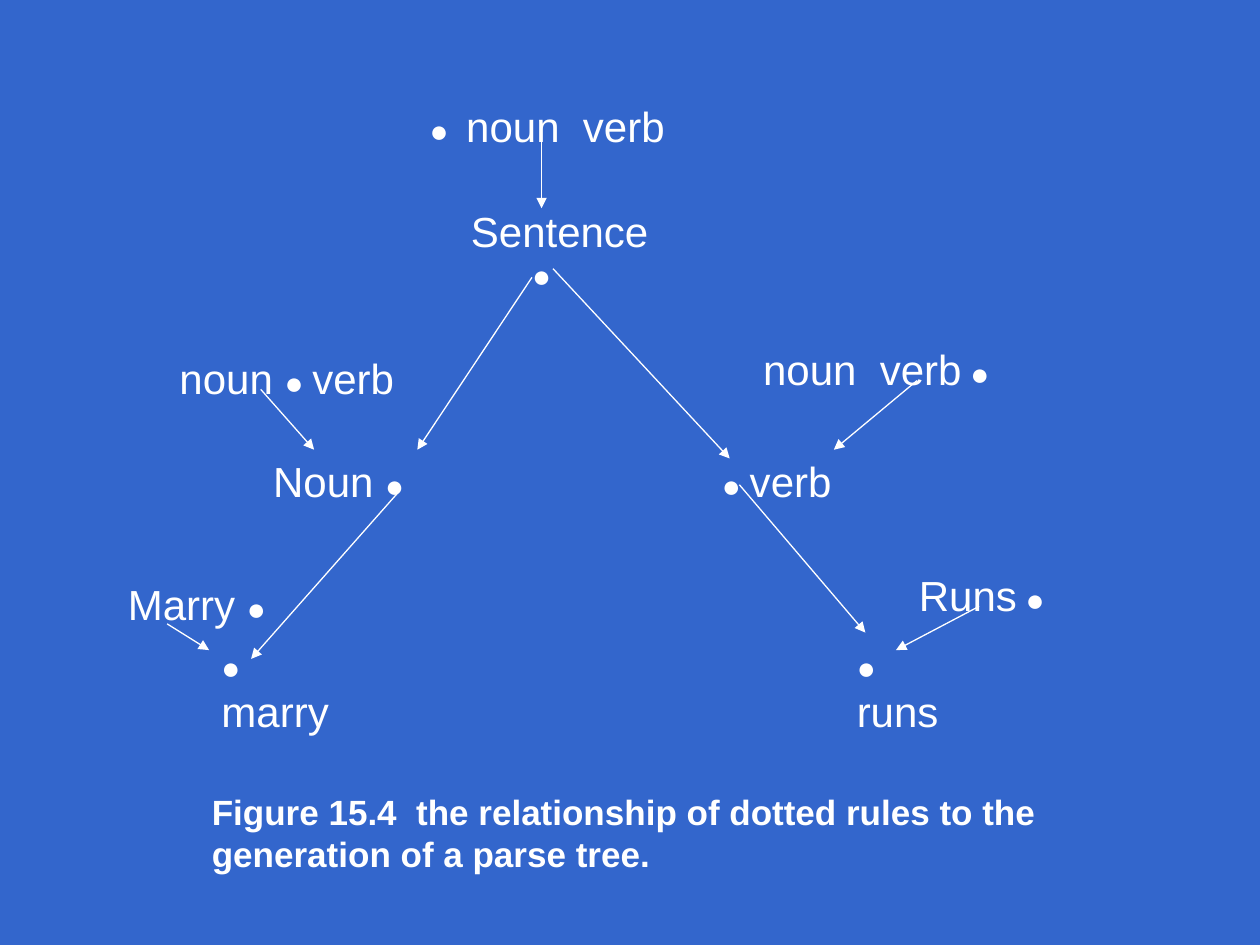
from lxml.etree import SubElement
from pptx import Presentation
from pptx.dml.color import RGBColor
from pptx.enum.shapes import MSO_CONNECTOR
from pptx.oxml.ns import qn
from pptx.util import Pt

BACKGROUND, INK = "3366CC", "FFFFFF"
DOT = "●"
DOT_SIZE, WORD_SIZE, CAPTION_SIZE = 18, 24, 20
DOT_INDENT = 35  # sets the dot under the middle of "Sentence"

# (left, top, width, height), lines; each line is a list of runs
RULES_AND_NODES = [
    ((238.5, 54, 161, 36), [["●  ", "noun  verb"]]),
    ((429, 193, 151, 36), [["noun  verb", " ●"]]),
    ((95.5, 198, 149, 36), [["noun ", "● ", "verb"]]),
    ((405.5, 257, 89, 36), [["● ", "verb"]]),
    ((149, 257, 97, 36), [["Noun ", "●"]]),
    ((518, 322, 94, 36), [["Runs", " ●"]]),
    ((66, 327, 101, 36), [["Marry ", "●"]]),
    ((482.5, 366.5, 160, 58), [["●"], ["runs"]]),
    ((119.5, 366.5, 81, 58), [["●"], ["marry"]]),
]
SENTENCE = ((262, 114, 120, 58), [["Sentence"], ["●"]])
CAPTION = (
    (114, 448, 490, 55),
    [["Figure 15.4  the relationship of dotted rules to the"],
     ["generation of a parse tree."]],
)

# (start x, start y), (end x, end y)
TREE_BRANCHES = [
    ((304, 158.5), (238.5, 257)),
    ((316, 153.5), (417, 262)),
    ((227, 282), (143.5, 376.5)),
    ((422.5, 277), (494.5, 361.5)),
]
RULE_POINTERS = [
    ((309.5, 78.5), (309.5, 119)),
    ((559.5, 346.5), (512, 371.5)),
    ((95.5, 356.5), (119.5, 371.5)),
    ((149, 222.5), (179.5, 257)),
    ((524, 217.5), (476.5, 257)),
]


def color(hex_code):
    return RGBColor.from_string(hex_code)


def add_label(slide, box, lines, word_size=WORD_SIZE, bold=False):
    """Add a text box whose dots are smaller than its words."""
    frame = slide.shapes.add_textbox(*map(Pt, box)).text_frame
    frame.word_wrap = True
    for number, pieces in enumerate(lines):
        paragraph = frame.add_paragraph() if number else frame.paragraphs[0]
        for piece in pieces:
            run = paragraph.add_run()
            run.text = piece
            run.font.name = "Arial"
            run.font.size = Pt(DOT_SIZE if DOT in piece else word_size)
            run.font.bold = bold
            run.font.color.rgb = color(INK)
    return frame


def add_arrow(slide, start, end):
    arrow = slide.shapes.add_connector(
        MSO_CONNECTOR.STRAIGHT, *map(Pt, start + end))
    arrow.line.color.rgb = color(INK)
    arrow.line.width = Pt(0.75)
    SubElement(arrow.line._get_or_add_ln(), qn("a:tailEnd"), type="triangle")
    SubElement(arrow._element.spPr, qn("a:effectLst"))


def main():
    deck = Presentation()
    deck.slide_width, deck.slide_height = Pt(720), Pt(540)
    slide = deck.slides.add_slide(deck.slide_layouts[6])
    slide.background.fill.solid()
    slide.background.fill.fore_color.rgb = color(BACKGROUND)

    for box, lines in RULES_AND_NODES:
        add_label(slide, box, lines)
    sentence = add_label(slide, *SENTENCE)
    dot_line = sentence.paragraphs[1]._p.get_or_add_pPr()
    dot_line.set("marL", str(Pt(DOT_INDENT)))
    dot_line.set("indent", "0")

    for start, end in TREE_BRANCHES + RULE_POINTERS:
        add_arrow(slide, start, end)
    add_label(slide, *CAPTION, word_size=CAPTION_SIZE, bold=True)
    deck.save("out.pptx")


if __name__ == "__main__":
    main()
